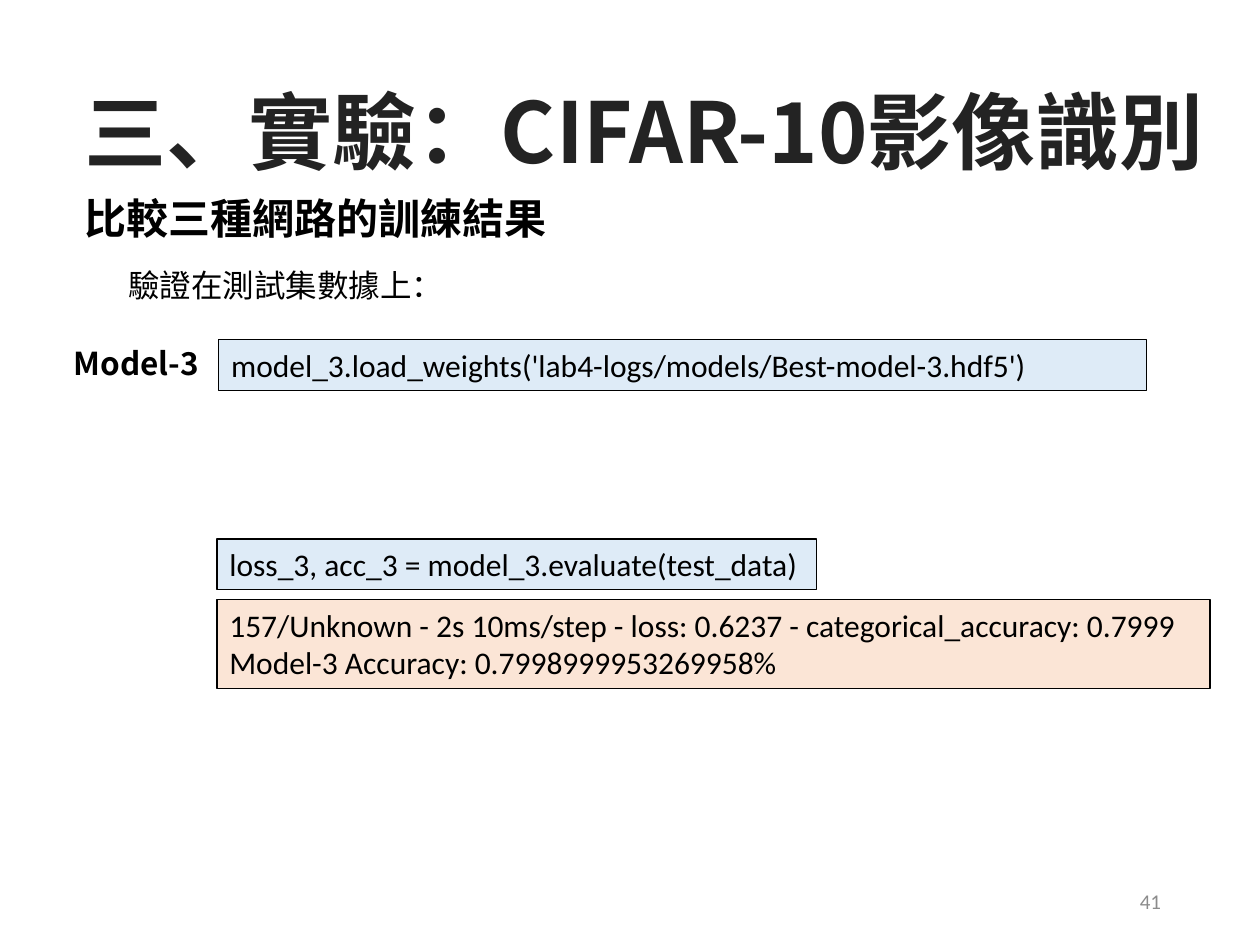
from dataclasses import dataclass
from typing import Optional

import pptx
import pptx.dml.color
import pptx.enum.shapes
import pptx.enum.text
import pptx.oxml
import pptx.oxml.ns
import pptx.util

Pt = pptx.util.Pt
RGBColor = pptx.dml.color.RGBColor
Align = pptx.enum.text.PP_ALIGN
Anchor = pptx.enum.text.MSO_ANCHOR

BLACK = RGBColor(0x00, 0x00, 0x00)
TITLE_GREY = RGBColor(0x23, 0x23, 0x23)
NUMBER_GREY = RGBColor(0x8C, 0x8C, 0x8C)
CODE_BLUE = RGBColor(0xDE, 0xEB, 0xF7)
OUTPUT_ORANGE = RGBColor(0xFB, 0xE5, 0xD6)

LATIN_FONT = "Calibri"
CJK_FONT = "Noto Sans CJK SC"


@dataclass
class TextStyle:
    size: float = 18
    font: str = LATIN_FONT
    color: RGBColor = BLACK
    bold: bool = False


@dataclass
class Block:
    """A label, or a bordered code box when it has a fill; lengths in points."""
    left: float
    top: float
    width: float
    height: float
    lines: list[str]
    style: TextStyle
    fill: Optional[RGBColor] = None
    wrap: bool = True
    align: Align = Align.LEFT
    anchor: Anchor = Anchor.TOP


CODE = TextStyle()
BLOCKS = [
    # Headings and model label
    Block(41, 106.5, 281, 36, ["比較三種網路的訓練結果"],
          TextStyle(24, CJK_FONT, bold=True), wrap=False),
    Block(66.2, 148.3, 196.6, 29, ["驗證在測試集數據上："],
          TextStyle(18, CJK_FONT), wrap=False),
    Block(34.9, 193, 90, 29, ["Model-3"],
          TextStyle(18, CJK_FONT, bold=True), wrap=False),
    # Code and its output
    Block(125, 194, 530, 29,
          ["model_3.load_weights('lab4-logs/models/Best-model-3.hdf5')"],
          CODE, CODE_BLUE),
    Block(124, 342.5, 567.5, 51,
          ["157/Unknown - 2s 10ms/step - loss: 0.6237 - categorical_accuracy: 0.7999",
           "Model-3 Accuracy: 0.7998999953269958%"],
          CODE, OUTPUT_ORANGE),
    Block(124, 308, 342.5, 29, ["loss_3, acc_3 = model_3.evaluate(test_data)"],
          CODE, CODE_BLUE, wrap=False),
    # Slide number
    Block(508.5, 500.5, 162, 28.8, ["41"], TextStyle(12, color=NUMBER_GREY),
          align=Align.RIGHT, anchor=Anchor.MIDDLE),
]


def add_run(paragraph, text: str, style: TextStyle) -> None:
    run = paragraph.add_run()
    run.text = text
    run.font.size = Pt(style.size)
    run.font.name = style.font
    run.font.bold = style.bold
    run.font.color.rgb = style.color
    # East Asian characters need their own typeface entry
    east_asian = pptx.oxml.parse_xml(
        f'<a:ea {pptx.oxml.ns.nsdecls("a")} typeface="{CJK_FONT}"/>')
    run.font._element.find(pptx.oxml.ns.qn("a:latin")).addnext(east_asian)


def add_block(slide, block: Block) -> None:
    bounds = [Pt(v) for v in (block.left, block.top, block.width, block.height)]
    if block.fill is None:
        shape = slide.shapes.add_textbox(*bounds)
    else:
        shape = slide.shapes.add_shape(
            pptx.enum.shapes.MSO_SHAPE.RECTANGLE, *bounds)
        shape.shadow.inherit = False
        shape.fill.solid()
        shape.fill.fore_color.rgb = block.fill
        shape.line.color.rgb = BLACK
        shape.line.width = Pt(0.75)
    frame = shape.text_frame
    frame.word_wrap = block.wrap
    frame.vertical_anchor = block.anchor
    for index, line in enumerate(block.lines):
        paragraph = frame.add_paragraph() if index else frame.paragraphs[0]
        paragraph.alignment = block.align
        add_run(paragraph, line, block.style)


def fill_title(title) -> None:
    title.left, title.top = Pt(41), Pt(36)
    title.width, title.height = Pt(715.7), Pt(70.5)
    frame = title.text_frame
    frame.auto_size = pptx.enum.text.MSO_AUTO_SIZE.NONE
    frame.word_wrap = True
    frame.vertical_anchor = Anchor.BOTTOM
    paragraph = frame.paragraphs[0]
    paragraph.alignment = Align.LEFT
    paragraph.line_spacing = 1.5
    for text, size in (("三、", 47), ("實驗：CIFAR-10影像識別", 48)):
        add_run(paragraph, text, TextStyle(size, CJK_FONT, TITLE_GREY, True))


def main() -> None:
    presentation = pptx.Presentation()
    presentation.slide_width, presentation.slide_height = Pt(720), Pt(540)
    slide = presentation.slides.add_slide(presentation.slide_layouts[5])
    fill_title(slide.shapes.title)
    for block in BLOCKS:
        add_block(slide, block)
    presentation.save("out.pptx")


if __name__ == "__main__":
    main()
